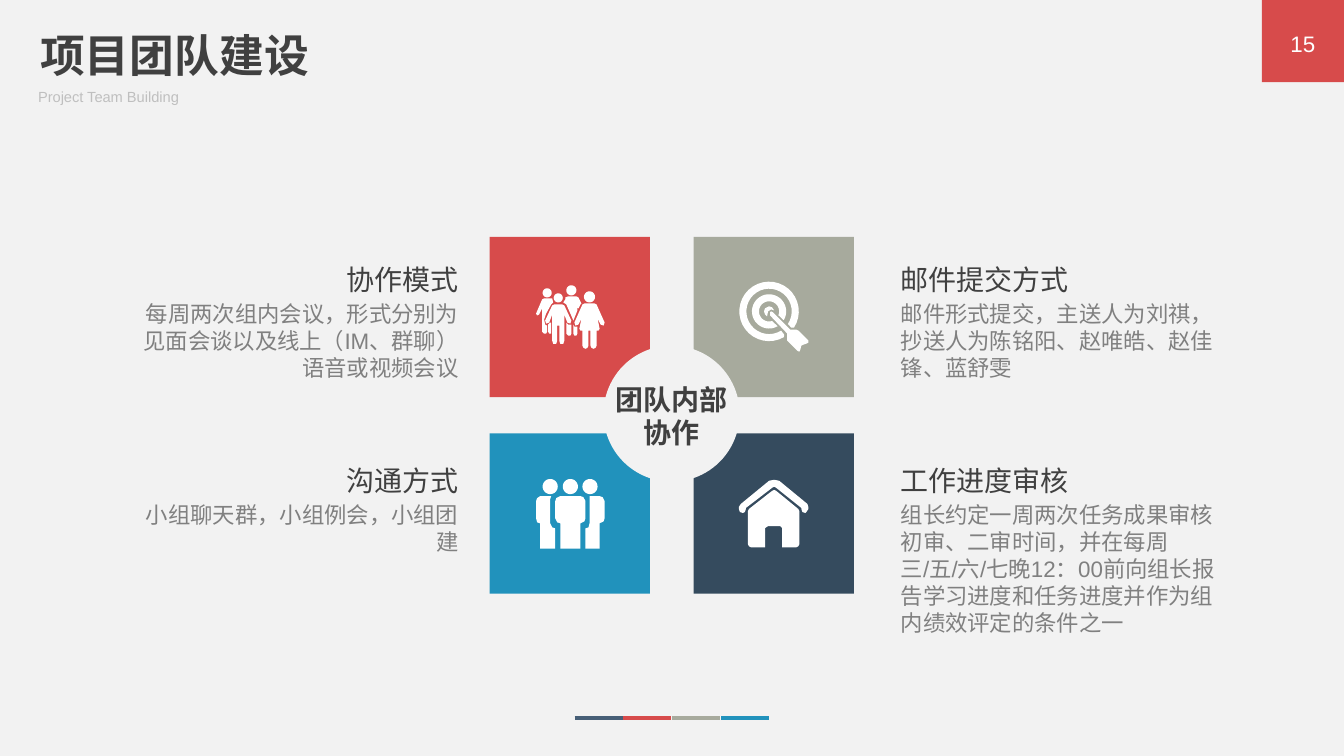
from math import cos, radians, sin

from lxml.etree import SubElement
from pptx import Presentation
from pptx.dml.color import RGBColor
from pptx.enum.shapes import MSO_CONNECTOR, MSO_SHAPE as Shape
from pptx.enum.text import MSO_ANCHOR as Anchor, MSO_AUTO_SIZE as AutoSize, PP_ALIGN as Align
from pptx.oxml.ns import qn
from pptx.util import Cm, Pt

PAPER = RGBColor(0xF2, 0xF2, 0xF2)
WHITE = RGBColor(0xFF, 0xFF, 0xFF)
RED = RGBColor(0xD7, 0x4B, 0x4B)
SAGE = RGBColor(0xA7, 0xAA, 0x9D)
NAVY = RGBColor(0x35, 0x4B, 0x5E)
BLUE = RGBColor(0x21, 0x92, 0xBC)
SLATE = RGBColor(0x47, 0x5F, 0x77)
INK = RGBColor(0x40, 0x40, 0x40)
GREY = RGBColor(0x80, 0x80, 0x80)
PALE = RGBColor(0xBF, 0xBF, 0xBF)
HEAD_FONT = "Noto Sans CJK SC"
BODY_FONT = "Arial"


def arc(x, y, radius, start=0, end=360, steps=32):
    """Return points along an arc; angles are degrees, clockwise from the right."""
    angles = [radians(start + (end - start) * i / steps) for i in range(steps + 1)]
    return [(x + radius * cos(a), y + radius * sin(a)) for a in angles]


def write(box, place, text, size, color, font=BODY_FONT, align=Align.LEFT, bold=False,
          anchor=Anchor.TOP):
    """Place a box (left, top, width, height in cm) and fill it with one run."""
    box.left, box.top, box.width, box.height = map(Cm, place)
    frame = box.text_frame
    frame.word_wrap = True
    frame.auto_size = AutoSize.NONE
    frame.vertical_anchor = anchor
    frame.margin_left = frame.margin_right = Cm(0.25)
    frame.margin_top = frame.margin_bottom = Cm(0.13)
    paragraph = frame.paragraphs[0]
    paragraph.alignment = align
    run = paragraph.add_run()
    run.text = text
    run.font.name, run.font.size, run.font.bold = font, Pt(size), bold
    run.font.color.rgb = color
    SubElement(run.font._element, qn("a:ea"), typeface=HEAD_FONT)


prs = Presentation()
prs.slide_width, prs.slide_height = Cm(33.87), Cm(19.05)
slide = prs.slides.add_slide(prs.slide_layouts[5])
slide.background.fill.solid()
slide.background.fill.fore_color.rgb = PAPER
shapes = slide.shapes

# Header and page number
write(shapes.title, (0.76, 0.56, 10.19, 1.63), "项目团队建设", 32, INK, HEAD_FONT, bold=True)
write(shapes.add_textbox(0, 0, 0, 0), (0.71, 2.08, 20.04, 0.74),
      "Project Team Building", 10.5, PALE)

# Page badge, four squares and the centre disc
TILE, COLUMNS, ROWS = 4.04, (12.34, 17.48), (5.97, 10.92)
panels = [
    (Shape.RECTANGLE, 31.8, 0, 2.07, RED),
    (Shape.RECTANGLE, COLUMNS[0], ROWS[0], TILE, RED),
    (Shape.RECTANGLE, COLUMNS[1], ROWS[0], TILE, SAGE),
    (Shape.RECTANGLE, COLUMNS[1], ROWS[1], TILE, NAVY),
    (Shape.RECTANGLE, COLUMNS[0], ROWS[1], TILE, BLUE),
    (Shape.OVAL, 15.21, 8.71, 3.43, PAPER),
]
for kind, left, top, size, color in panels:
    panel = shapes.add_shape(kind, Cm(left), Cm(top), Cm(size), Cm(size))
    panel.shadow.inherit = False
    panel.fill.solid()
    panel.fill.fore_color.rgb = color
    panel.line.fill.background()

write(shapes.add_textbox(0, 0, 0, 0), (31.8, 0.58, 2.07, 1.02), "15", 16, WHITE,
      align=Align.CENTER, anchor=Anchor.MIDDLE)
write(shapes.add_textbox(0, 0, 0, 0), (14.99, 9.5, 3.86, 1.96), "团队内部协作", 20, INK,
      HEAD_FONT, Align.CENTER, bold=True)

# Icons, each a list of outlines in hundredths of an inch
crowd = [
    [(37, 39), (38, 41), (41, 41), (41, 48), (40, 50), (38, 50), (37, 48)],
    [(30, 37), (32, 39), (35, 39), (35, 48), (34, 50), (32, 50), (30, 48)],
    [(15, 37), (15, 48), (13, 48), (12, 46), (12, 39), (14, 37)],
    [(18, 19), (26, 19), (28, 20), (35, 35), (34, 38), (31, 37), (28, 29), (28, 55),
     (27, 58), (24, 58), (23, 55), (23, 40), (21, 40), (21, 55), (20, 58), (17, 58),
     (16, 55), (16, 29), (13, 37), (10, 38), (9, 35), (16, 20)],
    [(48, 18), (58, 18), (60, 19), (68, 37), (67, 40), (64, 39), (61, 33), (63, 43),
     (62, 45), (60, 45), (60, 60), (59, 62), (57, 63), (55, 62), (54, 60), (54, 45),
     (52, 45), (52, 60), (51, 62), (49, 63), (47, 62), (46, 60), (46, 45), (44, 45),
     (43, 43), (45, 33), (42, 39), (39, 40), (38, 37), (46, 19)],
    [(8, 13), (16, 13), (17, 17), (15, 19), (10, 28), (8, 34), (9, 39), (11, 40),
     (11, 46), (10, 48), (8, 48), (6, 46), (6, 23), (3, 29), (1, 30), (0, 28), (6, 14)],
    [(32, 11), (40, 11), (42, 12), (45, 18), (44, 19), (42, 23), (41, 22), (41, 25),
     (37, 35), (34, 28), (30, 19), (27, 17), (29, 14), (29, 12)],
    arc(22, 12.5, 4.5), arc(53, 11.5, 5.5), arc(11, 7.5, 4.5), arc(35, 5, 5),
]
team = [
    [(53, 17), (63, 17), (66, 18), (68, 22), (68, 39), (67, 42), (63, 44), (63, 69),
     (49, 69), (49, 49), (52, 48), (53, 44), (53, 20)],
    [(24, 17), (44, 17), (47, 18), (49, 22), (49, 39), (48, 42), (44, 44), (44, 69),
     (24, 69), (24, 44), (21, 43), (19, 39), (19, 22), (20, 19)],
    [(4, 17), (15, 17), (14, 20), (14, 44), (16, 48), (19, 49), (19, 69), (4, 69),
     (4, 44), (1, 43), (0, 39), (0, 22), (1, 19)],
    arc(53.5, 7.5, 7.5), arc(34, 7.5, 7.5), arc(14, 7.5, 7.5),
]
target = [
    [(32, 29), (34, 30), (51, 47), (57, 47), (59, 48), (69, 58), (69, 60), (67, 61),
     (64, 62), (62, 63), (61, 67), (60, 69), (58, 68), (48, 58), (48, 51), (31, 33),
     (31, 30)],
    [(30, 24), (33, 25), (35, 28), (32, 27), (29, 29), (28, 34), (26, 32), (25, 29),
     (26, 26)],
    arc(30, 29, 17, 60, 391) + arc(30, 29, 10, 382, 73),
    arc(30, 29, 29.5, 60, 393) + [(52, 45)] + arc(30, 29, 22.5, 394, 58) + [(45, 52)],
]
house = [
    [(33, 11), (35, 10), (37, 11), (59, 29), (60, 31), (60, 64), (59, 66), (57, 67),
     (43, 67), (43, 48), (41, 46), (29, 46), (26, 48), (26, 67), (12, 67), (10, 66),
     (9, 64), (9, 31), (10, 29)],
    [(35, 0), (40, 1), (68, 24), (69, 27), (69, 29), (67, 32), (66, 33), (63, 32),
     (62, 29), (62, 28), (37, 8), (35, 7), (33, 8), (7, 28), (7, 29), (6, 32), (4, 33),
     (1, 32), (0, 29), (0, 27), (2, 24), (30, 1)],
]
SUBUNITS = 100
for outlines, left, top in [(crowd, 13.51, 7.19), (team, 13.51, 12.07),
                            (target, 18.62, 7.11), (house, 18.62, 12.09)]:
    scaled = [[(x * SUBUNITS, y * SUBUNITS) for x, y in outline] for outline in outlines]
    pen = shapes.build_freeform(*scaled[0][0], scale=Cm(2.54) / 100 / SUBUNITS)
    pen.add_line_segments(scaled[0][1:])
    for outline in scaled[1:]:
        pen.move_to(*outline[0])
        pen.add_line_segments(outline[1:])
    icon = pen.convert_to_shape(Cm(left), Cm(top))
    icon.shadow.inherit = False
    icon.fill.solid()
    icon.fill.fore_color.rgb = WHITE
    icon.line.fill.background()

# Notes beside the squares; those on the left end at the same right edge
HEAD_WIDTH, NOTE_WIDTH, LEFT_EDGE, RIGHT_EDGE = 6.78, 8.48, 11.81, 22.45
notes = [
    (Align.LEFT, 6.48, 2.31, "邮件提交方式",
     "邮件形式提交，主送人为刘祺，抄送人为陈铭阳、赵唯皓、赵佳锋、蓝舒雯"),
    (Align.LEFT, 11.56, 3.68, "工作进度审核",
     "组长约定一周两次任务成果审核初审、二审时间，并在每周三/五/六/七晚12：00前向组长报告"
     "学习进度和任务进度并作为组内绩效评定的条件之一"),
    (Align.RIGHT, 6.48, 2.31, "协作模式",
     "每周两次组内会议，形式分别为见面会谈以及线上（IM、群聊）语音或视频会议"),
    (Align.RIGHT, 11.56, 1.63, "沟通方式", "小组聊天群，小组例会，小组团建"),
]
for align, top, height, heading, detail in notes:
    for width, y, h, text, size, color, font in [
            (HEAD_WIDTH, top, 1.12, heading, 20, INK, HEAD_FONT),
            (NOTE_WIDTH, top + 0.95, height, detail, 16, GREY, BODY_FONT)]:
        left = RIGHT_EDGE if align == Align.LEFT else LEFT_EDGE - width
        write(shapes.add_textbox(0, 0, 0, 0), (left, y, width, h), text, size, color,
              font, align)

# Colour strip at the foot
for i, color in enumerate([SLATE, RED, SAGE, BLUE]):
    start = 14.48 + 1.23 * i
    dash = shapes.add_connector(MSO_CONNECTOR.STRAIGHT, Cm(start), Cm(18.1),
                                Cm(start + 1.21), Cm(18.1))
    dash.line.color.rgb = color
    dash.line.width = Pt(3)
    SubElement(dash._element.spPr, qn("a:effectLst"))

prs.save("out.pptx")
